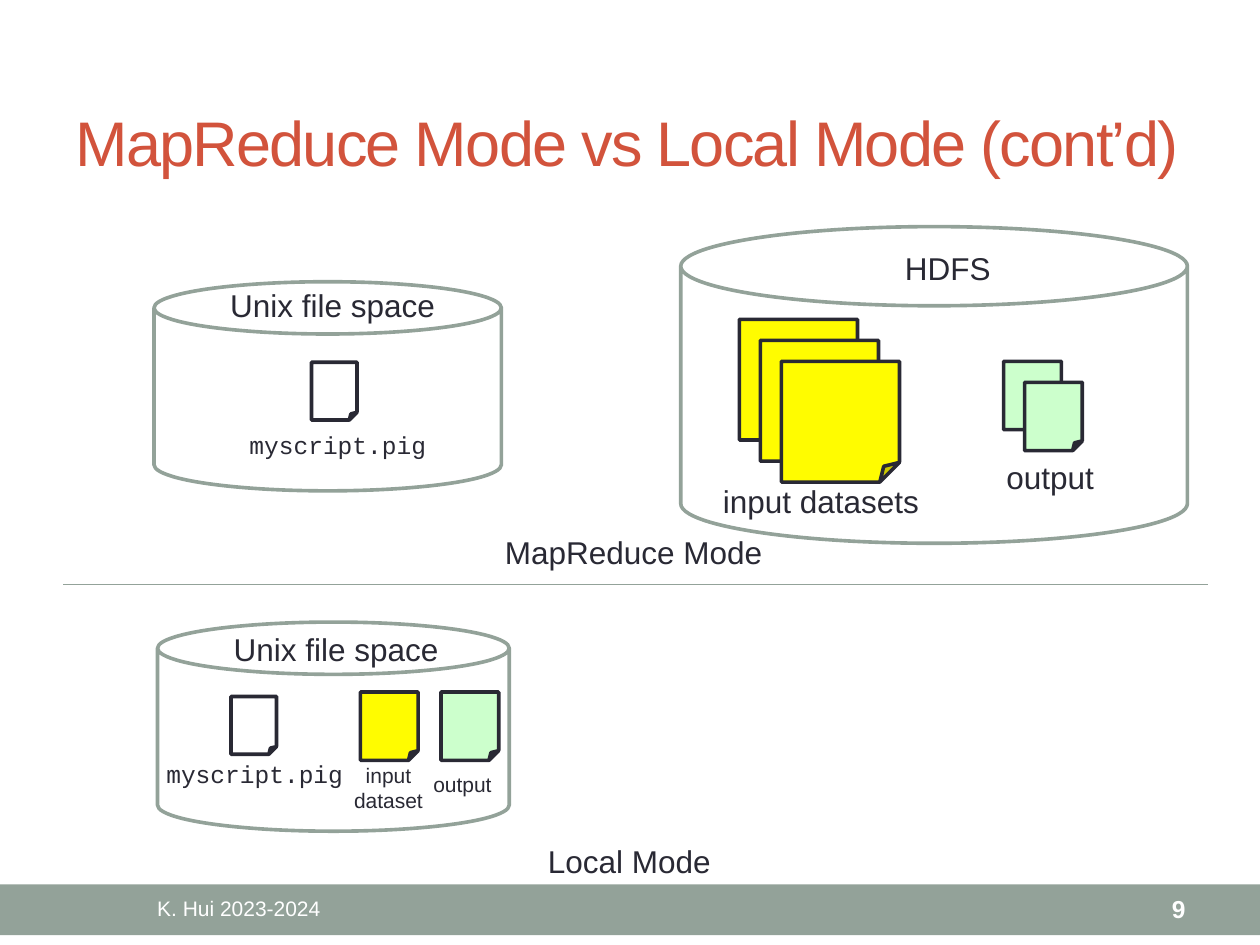
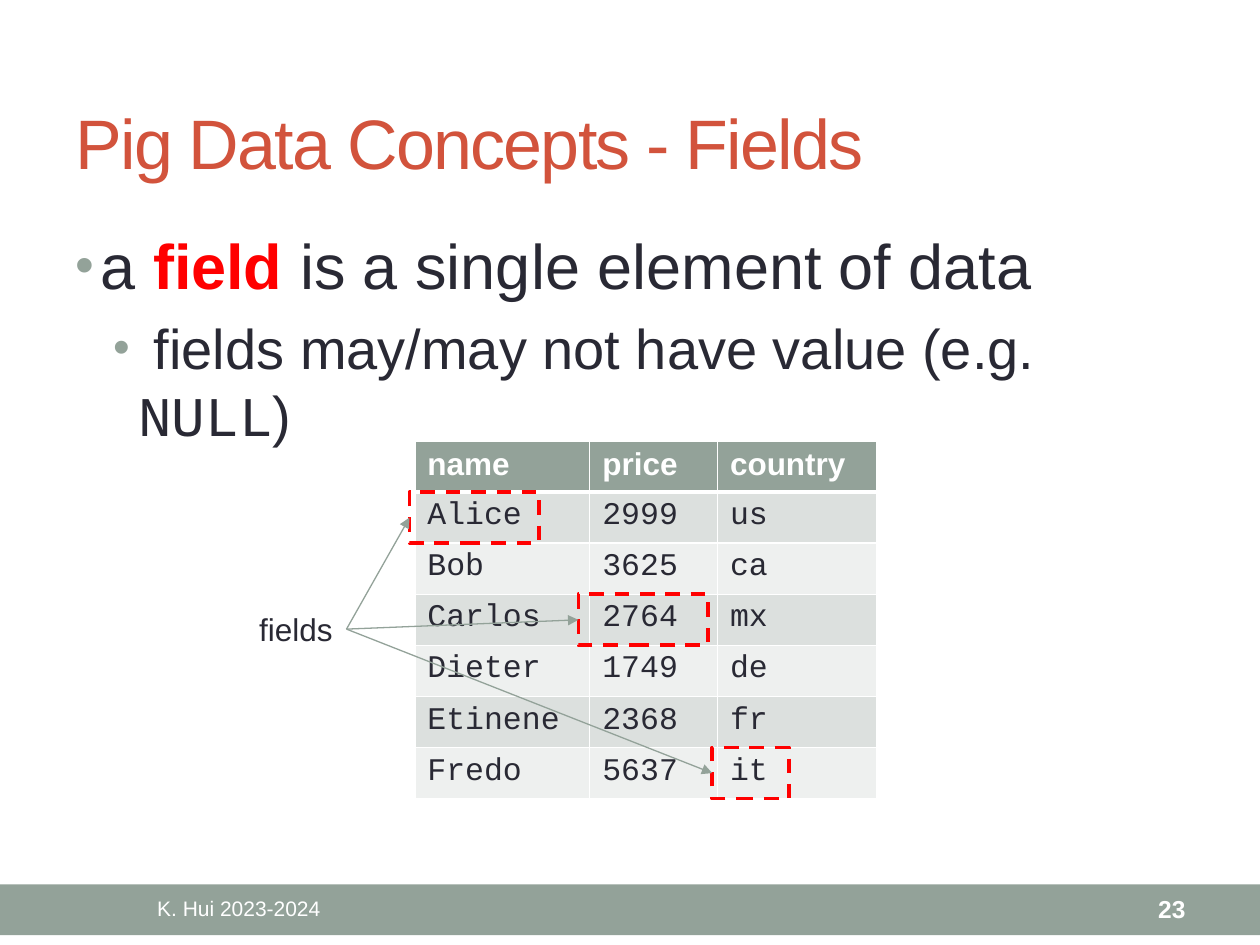
from itertools import product

from lxml import etree
from pptx import Presentation
from pptx.dml.color import RGBColor
from pptx.enum.dml import MSO_LINE
from pptx.enum.shapes import MSO_CONNECTOR as Connector, MSO_SHAPE as Shape
from pptx.enum.text import MSO_ANCHOR as Anchor, MSO_AUTO_SIZE as AutoSize, PP_ALIGN as Align
from pptx.oxml.ns import qn
from pptx.util import Pt

SAGE, RUST, INK, WHITE = "93A299", "D2533C", "292934", "FFFFFF"
RED, YELLOW, MINT = "FF0000", "FFFC00", "CCFFCC"
BANDS = ("DCE0DE", "EEF0EF")
SANS, MONO = "Arial", "Courier New"
OUTLINE = 2.08


def color(hex_string):
    return RGBColor.from_string(hex_string)


def points(*values):
    return [Pt(value) for value in values]


def child(parent, tag, **attributes):
    return etree.SubElement(parent, qn(tag), attributes)


def add_run(paragraph, words, size, ink=INK, font=SANS, bold=False):
    run = paragraph.add_run()
    run.text = words
    run.font.size = Pt(size)
    run.font.name = font
    run.font.bold = bold
    run.font.color.rgb = color(ink)
    return run


def add_frame(slide, box, anchor=Anchor.TOP, wrap=True):
    holder = slide.shapes.add_textbox(*points(*box))
    holder.text_frame.word_wrap = wrap
    holder.text_frame.vertical_anchor = anchor
    return holder


def add_label(slide, box, words, size=18, font=SANS, align=Align.LEFT, wrap=False):
    label = add_frame(slide, box, wrap=wrap)
    label.text_frame.auto_size = AutoSize.SHAPE_TO_FIT_TEXT
    paragraph = label.text_frame.paragraphs[0]
    paragraph.alignment = align
    add_run(paragraph, words, size, font=font)
    return label


def add_figure(slide, kind, box, fill=None, line=None):
    figure = slide.shapes.add_shape(kind, *points(*box))
    figure.shadow.inherit = False
    if fill:
        figure.fill.solid()
        figure.fill.fore_color.rgb = color(fill)
    else:
        figure.fill.background()
    if line:
        figure.line.color.rgb = color(line)
        figure.line.width = Pt(OUTLINE)
    else:
        figure.line.fill.background()
    return figure


def add_line(slide, start, end):
    line = slide.shapes.add_connector(Connector.STRAIGHT, *points(*start, *end))
    line.line.color.rgb = color(SAGE)
    line.line.width = Pt(0.75)
    child(line._element.spPr, "a:effectLst")
    return line


def add_base(deck, title, title_size, number):
    slide = deck.slides.add_slide(deck.slide_layouts[6])
    add_figure(slide, Shape.RECTANGLE, (0, 505.4, 720, 29), SAGE)
    heading = add_frame(slide, (36, 42, 648, 78), Anchor.MIDDLE)
    run = add_run(heading.text_frame.paragraphs[0], title, title_size, RUST)
    run.font._element.set("spc", "-100")
    footers = (
        ((36, 506, 201, 26), "K. Hui 2023-2024", 12, Align.CENTER, False),
        ((600.5, 506, 84, 26), str(number), 14, Align.RIGHT, True),
    )
    for box, words, size, align, bold in footers:
        paragraph = add_frame(slide, box, Anchor.MIDDLE).text_frame.paragraphs[0]
        paragraph.alignment = align
        add_run(paragraph, words, size, WHITE, bold=bold)
    return slide


def add_store(slide, box, name, name_dx, name_dy, name_width):
    left, top = box[:2]
    add_figure(slide, Shape.CAN, box, WHITE, SAGE)
    add_label(slide, (left + name_dx, top + name_dy, name_width, 29), name)


def add_unix_store(slide, box, name_dy):
    add_store(slide, box, "Unix file space", 36.5, name_dy, 132.5)


def add_files(slide, box, fill, count=1, step=12):
    left, top, width, height = box
    for index in range(count):
        shift = index * step
        add_figure(slide, Shape.FOLDED_CORNER, (left + shift, top + shift, width, height), fill, INK)


def add_script(slide, left, top, name_dx, name_dy):
    add_files(slide, (left, top, 26, 33), WHITE)
    add_label(slide, (left + name_dx, top + name_dy, 116, 24), "myscript.pig", 14, MONO)


def add_mapreduce_mode(slide, box):
    left, top, width, height = box
    add_unix_store(slide, (left + 52, top + 31.5, 198.5, 119.5), -1)
    add_script(slide, left + 142, top + 77.5, -42.5, 35)
    add_store(slide, (left + 353, top, 289.5, 181), "HDFS", 121, 9.5, 64)
    add_files(slide, (left + 386.5, top + 53, 67.5, 69), YELLOW, 3)
    add_label(slide, (left + 370, top + 142.5, 127.5, 29), "input datasets")
    add_files(slide, (left + 537.5, top + 77, 33, 39), MINT, 2)
    add_label(slide, (left + 532, top + 128.5, 65, 29), "output")
    add_label(slide, (left + 245.5, top + 171.5, 163, 29), "MapReduce Mode")
    add_line(slide, (left, top + height), (left + width, top + height))


def add_local_mode(slide, box):
    left, top = box[:2]
    add_unix_store(slide, (left + 54, top, 201, 119.5), 1)
    add_script(slide, left + 96, top + 42.5, -44, 32)
    add_files(slide, (left + 170, top + 40, 33, 39), YELLOW)
    add_label(slide, (left + 154, top + 76.5, 64, 36), "input dataset", 12, align=Align.CENTER, wrap=True)
    add_files(slide, (left + 216, top + 40, 33, 39), MINT)
    add_label(slide, (left + 204.5, top + 82, 48, 22), "output", 12)
    add_label(slide, (left + 270, top + 122, 109, 29), "Local Mode")


def add_bullets(slide, box, bullets):
    frame = add_frame(slide, box).text_frame
    for level, (indent, size, runs) in enumerate(bullets):
        paragraph = frame.add_paragraph() if level else frame.paragraphs[0]
        paragraph.level = level
        paragraph.space_before = Pt(size / 5)
        for words, style in runs:
            add_run(paragraph, words, size, **style)
        properties = paragraph._p.get_or_add_pPr()
        properties.set("marL", str(Pt(indent)))
        properties.set("indent", str(Pt(-14.4)))
        child(child(properties, "a:buClr"), "a:srgbClr", val=SAGE)
        child(properties, "a:buSzPct", val="85000")
        child(properties, "a:buFont", typeface=SANS)
        child(properties, "a:buChar", char="•")


def add_cell_border(cell, widths):
    properties = cell._tc.get_or_add_tcPr()
    for side, width in zip("LRTB", widths):
        border = child(properties, f"a:ln{side}", w=str(Pt(width)))
        child(child(border, "a:solidFill"), "a:srgbClr", val=WHITE)


def add_records(slide, box, column_widths, records):
    table = slide.shapes.add_table(len(records), len(column_widths), *points(*box)).table
    table.first_row = table.horz_banding = False
    for column, width in zip(table.columns, column_widths):
        column.width = Pt(width)
    for row in table.rows:
        row.height = Pt(box[3] / len(records))
    for row, column in product(range(len(records)), range(len(column_widths))):
        cell = table.cell(row, column)
        header = row == 0
        add_cell_border(cell, (1, 1, 3 if row == 1 else 1, 3 if header else 1))
        cell.fill.solid()
        cell.fill.fore_color.rgb = color(SAGE if header else BANDS[(row - 1) % 2])
        add_run(cell.text_frame.paragraphs[0], records[row][column], 18,
                WHITE if header else INK, SANS if header else MONO, header)


def add_field_marks(slide, box, row_height, marks):
    left, top = box[:2]
    caption = add_label(slide, (left - 96, top + 93, 57, 29), "fields")
    for row, dx, width in marks:
        mark_box = (left + dx, top + row * row_height, width, row_height)
        mark = add_figure(slide, Shape.RECTANGLE, mark_box, line=RED)
        mark.line.dash_style = MSO_LINE.DASH
        target = (mark_box[0], mark_box[1] + row_height / 2)
        arrow = add_line(slide, (left - 39, top + 107.5), target)
        arrow.begin_connect(caption, 3)
        arrow.end_connect(mark, 1)
        child(arrow.line._get_or_add_ln(), "a:tailEnd", type="triangle")


def add_modes_slide(deck):
    slide = add_base(deck, "MapReduce Mode vs Local Mode (cont’d)", 36, 9)
    add_mapreduce_mode(slide, (36, 129.5, 654.5, 204.5))
    add_local_mode(slide, (36, 355.5, 654.5, 150))


def add_fields_slide(deck):
    slide = add_base(deck, "Pig Data Concepts - Fields", 40, 23)
    add_bullets(slide, (36, 126, 648, 126), [
        (14.4, 36, [("a ", {}), ("field", {"ink": RED, "bold": True}),
                    (" is a single element of data", {})]),
        (36, 32, [(" fields may/may not have value (e.g. ", {}),
                  ("NULL", {"font": MONO}), (")", {})]),
    ])
    records = [
        ("name", "price", "country"),
        ("Alice", "2999", "us"),
        ("Bob", "3625", "ca"),
        ("Carlos", "2764", "mx"),
        ("Dieter", "1749", "de"),
        ("Etinene", "2368", "fr"),
        ("Fredo", "5637", "it"),
    ]
    row_height = 29.2
    box = (237, 252, 264, row_height * len(records))
    add_records(slide, box, (100, 73, 91), records)
    add_field_marks(slide, box, row_height, [(1, -3, 74), (3, 93.5, 74), (6, 170, 44)])


deck = Presentation()
deck.slide_width, deck.slide_height = points(720, 540)
add_modes_slide(deck)
add_fields_slide(deck)
deck.save("out.pptx")
